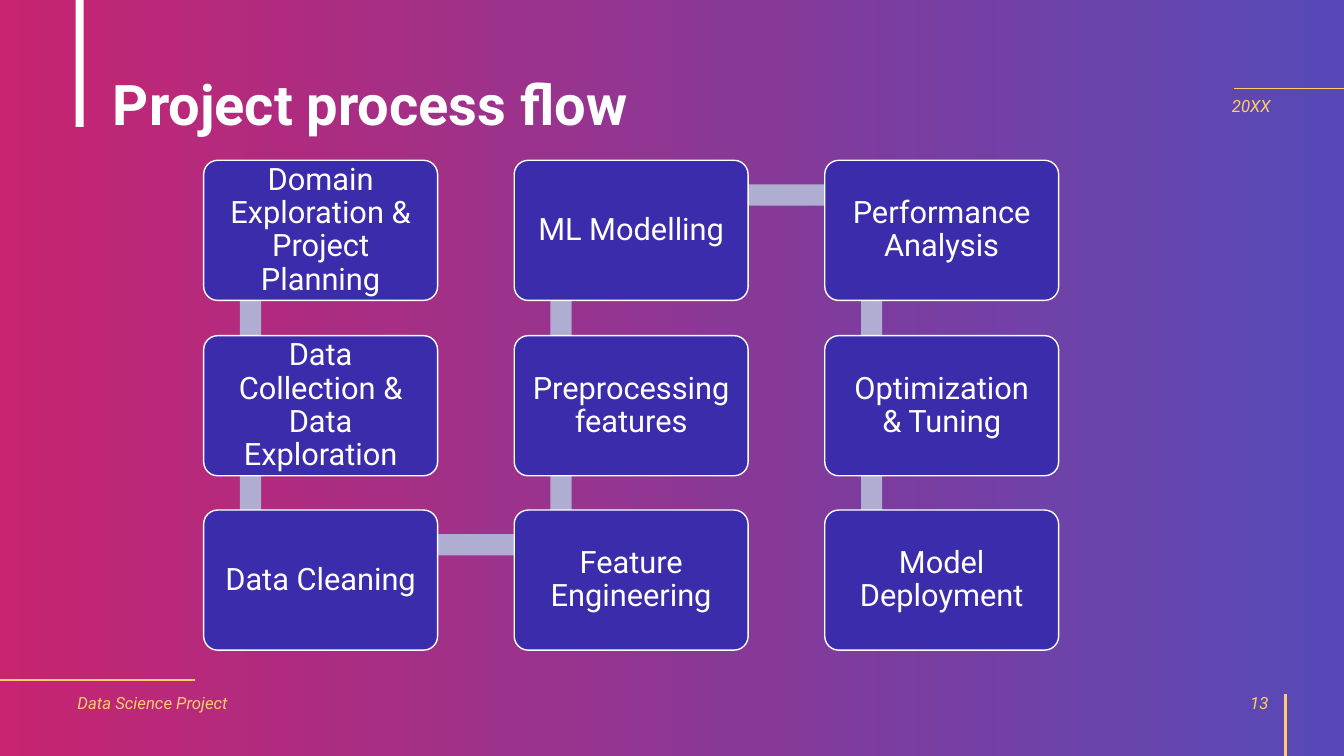
from lxml import etree
from pptx import Presentation
from pptx.dml.color import RGBColor
from pptx.enum.shapes import MSO_CONNECTOR, MSO_SHAPE
from pptx.enum.text import MSO_ANCHOR, MSO_AUTO_SIZE, PP_ALIGN
from pptx.oxml.ns import qn
from pptx.util import Emu, Pt

RECT, ROUND = MSO_SHAPE.RECTANGLE, MSO_SHAPE.ROUNDED_RECTANGLE
STRAIGHT = MSO_CONNECTOR.STRAIGHT
LEFT, CENTER, RIGHT = PP_ALIGN.LEFT, PP_ALIGN.CENTER, PP_ALIGN.RIGHT
TOP, MIDDLE, BOTTOM = MSO_ANCHOR.TOP, MSO_ANCHOR.MIDDLE, MSO_ANCHOR.BOTTOM

FONT = "Roboto"
WHITE, GOLD, PINK, INDIGO, LILAC = "FFFFFF", "FFCD6B", "BE005A", "3B2CAC", "AFADD2"
SLIDE_W, SLIDE_H = 1333, 750

COLUMNS = (202, 510, 818)
ROWS = (159, 333, 506)
BOX_W, BOX_H = 232, 139
LINK_THICK = 21
STEPS = (
    "Domain Exploration & Project Planning",
    "Data Collection & Data Exploration",
    "Data Cleaning",
    "Feature Engineering",
    "Preprocessing features",
    "ML Modelling",
    "Performance Analysis",
    "Optimization & Tuning",
    "Model Deployment",
)
ACCENT_LINES = (
    (1224, 88, SLIDE_W, 88, 0.5),
    (0, 675, 193, 675, 1.5),
    (1275, SLIDE_H, 1275, 689, 2.25),
)


def px(n):
    """Convert px (100 to the inch) to EMU."""
    return Emu(n * 9144)


def rgb(hex_color):
    return RGBColor.from_string(hex_color)


def write(shape, text, size=12, color=GOLD, bold=False, italic=False,
          align=LEFT, anchor=MIDDLE, spacing=1.0, inset=(10, 5)):
    tf = shape.text_frame
    tf.word_wrap = True
    tf.auto_size = MSO_AUTO_SIZE.NONE
    tf.vertical_anchor = anchor
    tf.margin_left = tf.margin_right = px(inset[0])
    tf.margin_top = tf.margin_bottom = px(inset[1])
    p = tf.paragraphs[0]
    p.alignment = align
    p.line_spacing = spacing
    r = p.add_run()
    r.text = text
    r.font.name = FONT
    r.font.size = Pt(size)
    r.font.bold = bold
    r.font.italic = italic
    r.font.color.rgb = rgb(color)


def add_block(s, kind, x, y, w, h, fill=None):
    sp = s.shapes.add_shape(kind, px(x), px(y), px(w), px(h))
    sp.shadow.inherit = False
    sp.line.fill.background()
    if fill:
        sp.fill.solid()
        sp.fill.fore_color.rgb = rgb(fill)
    return sp


def add_backdrop(s):
    """Add a translucent left-to-right gradient behind everything."""
    sp = add_block(s, RECT, 0, 0, SLIDE_W, SLIDE_H)
    sp.fill.gradient()
    sp.fill.gradient_angle = 0
    for stop, color, position in zip(sp.fill.gradient_stops, (PINK, INDIGO), (0, 1)):
        stop.color.rgb = rgb(color)
        stop.position = position
    for clr in sp.element.spPr.iter(qn("a:srgbClr")):
        etree.SubElement(clr, qn("a:alpha")).set("val", "85000")
    s.shapes.title.element.addprevious(sp.element)


def add_line(s, x1, y1, x2, y2, width):
    line = s.shapes.add_connector(STRAIGHT, px(x1), px(y1), px(x2), px(y2))
    line.line.color.rgb = rgb(GOLD)
    line.line.width = Pt(width)
    etree.SubElement(line.element.spPr, qn("a:effectLst"))


def add_label(s, text, x, y, w, h, **fmt):
    write(s.shapes.add_textbox(px(x), px(y), px(w), px(h)), text, italic=True, **fmt)


def add_title(s, text):
    title = s.shapes.title
    title.left, title.top, title.width, title.height = map(px, (102, 66, 691, 76))
    write(title, text, size=40, color=WHITE, bold=True, anchor=BOTTOM, spacing=0.9)


def step_position(i):
    """Return left and top of step i: down one column, up the next."""
    col, row = divmod(i, len(ROWS))
    return COLUMNS[col], ROWS[-1 - row if col % 2 else row]


def add_link(s, start, end):
    """Add the bar that runs behind two neighbouring steps."""
    (x1, y1), (x2, y2) = start, end
    if x1 == x2:
        add_block(s, RECT, x1 + 36, min(y1, y2) + 34, LINK_THICK, abs(y2 - y1), LILAC)
    else:
        add_block(s, RECT, x1 + 47, y1 + 24, x2 - x1, LINK_THICK, LILAC)


def add_step(s, text, x, y):
    sp = add_block(s, ROUND, x, y, BOX_W, BOX_H, INDIGO)
    sp.adjustments[0] = 0.1
    sp.line.color.rgb = rgb(WHITE)
    sp.line.width = Pt(1)
    write(sp, text, size=22, color=WHITE, align=CENTER, spacing=0.9, inset=(13, 13))


def main():
    prs = Presentation()
    prs.slide_width, prs.slide_height = px(SLIDE_W), px(SLIDE_H)
    s = prs.slides.add_slide(prs.slide_layouts[5])

    add_backdrop(s)
    add_block(s, RECT, 75, 0, 8, 126, WHITE)
    for line in ACCENT_LINES:
        add_line(s, *line)

    add_title(s, "Project process flow")
    add_label(s, "Data Science Project", 67, 677, 356, 40)
    add_label(s, "13", 968, 677, 300, 40, align=RIGHT)
    add_label(s, "20XX", 1212, 92, 67, 36, anchor=TOP, spacing=0.9)

    for i, text in enumerate(STEPS):
        if i + 1 < len(STEPS):
            add_link(s, step_position(i), step_position(i + 1))
        add_step(s, text, *step_position(i))

    prs.save("out.pptx")


if __name__ == "__main__":
    main()
